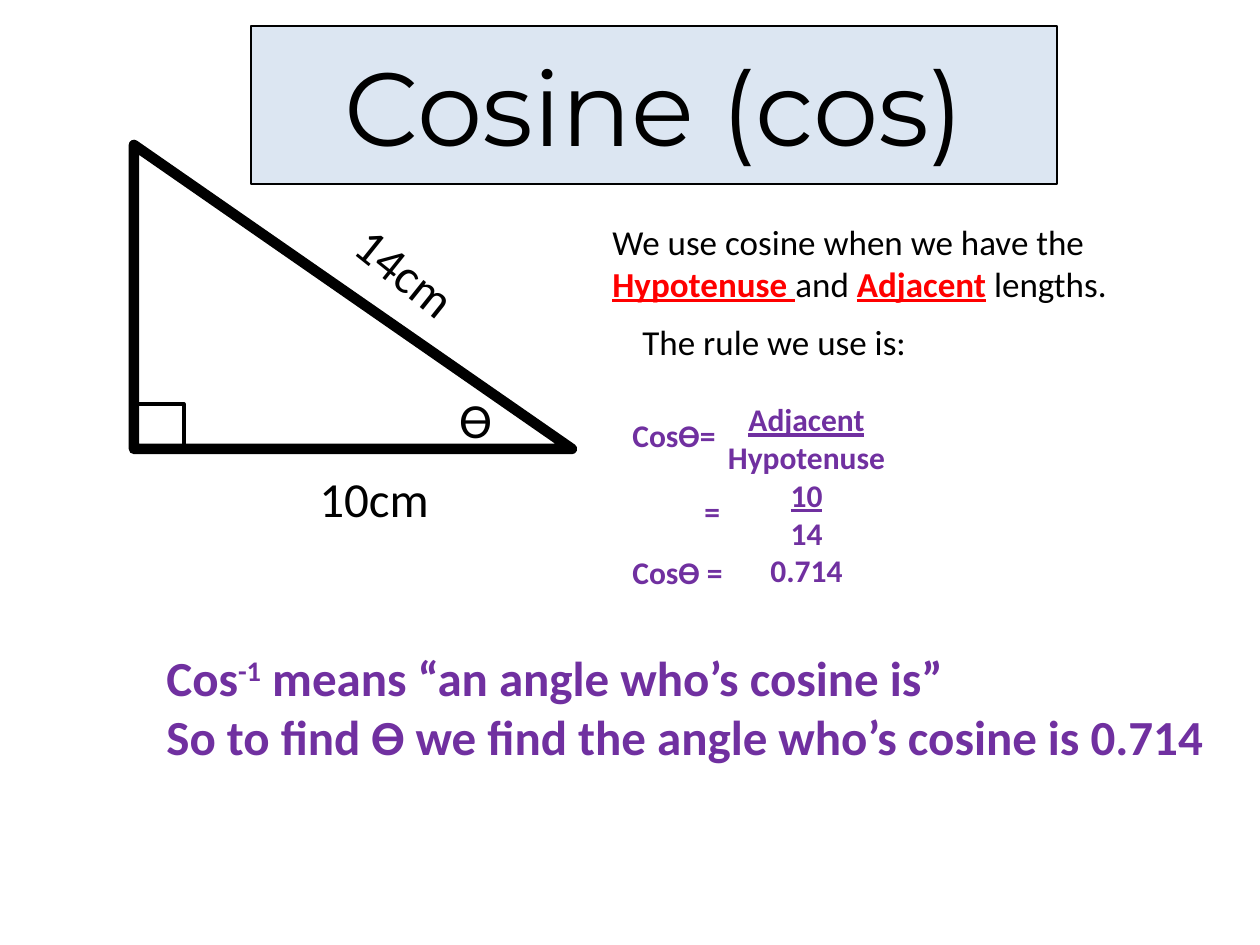
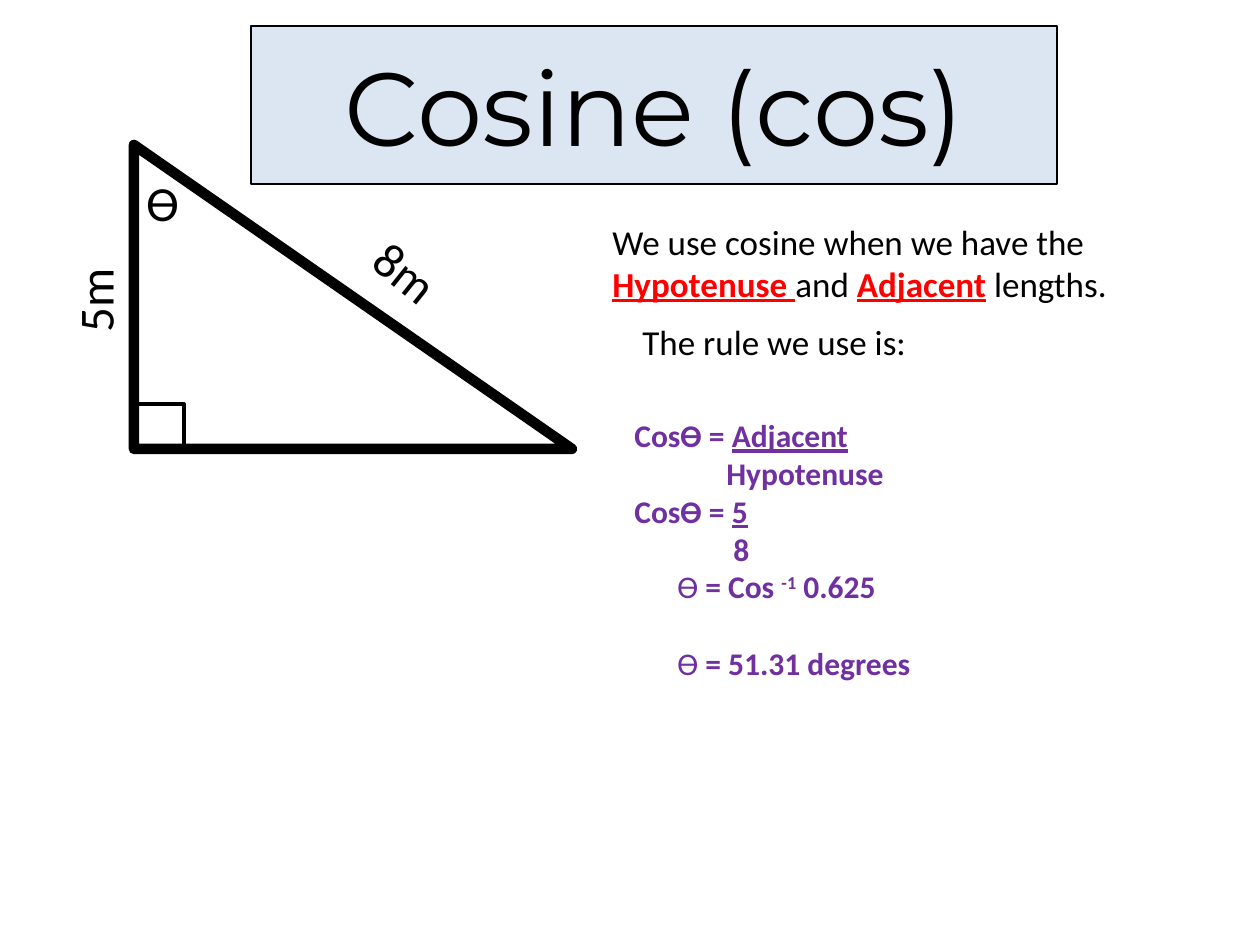
from pptx import Presentation
from pptx import util as u
from pptx.dml.color import RGBColor
from pptx.enum import shapes, text

# Content: a line is a list of runs, a run is (words, marks).
# Marks: b bold, u underlined, r red, ^ raised.
TITLE = "Cosine (cos)"
INTRO = [("We use cosine when we have the ", ""), ("Hypotenuse ", "bur"),
         ("and ", ""), ("Adjacent", "bur"), (" lengths.", "")]
RULE = "The rule we use is:"

LEFT = [{"runs": "Cosϴ="},
        {"runs": "=", "indent": 72, "gap": 22},
        {"runs": "Cosϴ =", "gap": 13}]
RIGHT = [{"runs": [("Adjacent", "bu")]}, {"runs": "Hypotenuse"},
         {"runs": [("10", "bu")]}, {"runs": "14"}, {"runs": "0.714"}]
MEANS = [{"runs": [("Cos", "b"), ("-1", "b^"),
                   (" means “an angle who’s cosine is”", "b")]},
         {"runs": "So to find ϴ we find the angle who’s cosine is 0.714"}]
STEPS = [{"runs": [("Cosϴ = ", "b"), ("Adjacent", "bu")]},
         {"runs": "Hypotenuse", "indent": 92},
         {"runs": [("Cosϴ = ", "b"), ("5", "bu")]},
         {"runs": "8", "indent": 99},
         {"runs": [("ϴ ", ""), ("= Cos ", "b"), ("-1", "b^"), (" 0.625", "b")],
          "indent": 43},
         {"runs": [("ϴ ", ""), ("= 51.31 degrees", "b")],
          "indent": 43, "gap": 22}]

INK, RED, PURPLE, PALE = "000000", "FF0000", "7030A0", "DCE6F2"
BODY, HEAD = "Calibri", "Montserrat"
LABEL, PROSE, WORK = 28, 20, 18
TILT = 38.7

SLIDES = [
    {"hyp": "14cm", "theta": (447, 383), "boxes": [
        ((307, 462, 136, 72), [{"runs": "10cm"}], {"wrap": False}),
        ((620, 410, 198, 189), LEFT,
         {"size": WORK, "hue": PURPLE, "bold": True}),
        ((704, 394, 205, 280), RIGHT,
         {"size": WORK, "hue": PURPLE, "bold": True, "mid": True}),
        ((154, 641, 1075, 131), MEANS,
         {"hue": PURPLE, "bold": True, "wrap": False})]},
    {"hyp": "8m", "theta": (134, 166), "boxes": [
        ((49, 263, 91, 72), [{"runs": "5m"}], {"wrap": False, "turn": 270}),
        ((622, 410, 338, 280), STEPS,
         {"size": WORK, "hue": PURPLE, "bold": True})]},
]


def px(*vals):
    """Pixels, 126 to the inch, as a list of EMU."""
    return [u.Emu(round(v * 914400 / 126)) for v in vals]


def rgb(code):
    return RGBColor.from_string(code)


def set_font(font, name, size, hue, bold=False):
    font.name, font.size, font.bold = name, u.Pt(size), bold
    font.color.rgb = rgb(hue)


def fill_line(para, line, bold):
    runs = line["runs"]
    if isinstance(runs, str):
        runs = [(runs, "b" if bold else "")]
    for words, marks in runs:
        run = para.add_run()
        run.text = words
        if ("b" in marks) != bold:
            run.font.bold = not bold
        if "u" in marks:
            run.font.underline = True
        if "r" in marks:
            run.font.color.rgb = rgb(RED)
        if "^" in marks:
            run._r.get_or_add_rPr().set("baseline", "30000")


def add_text(slide, at, lines, size=LABEL, hue=INK, bold=False,
             mid=False, wrap=True, turn=0):
    box = slide.shapes.add_textbox(*px(*at))
    box.rotation = turn
    frame = box.text_frame
    frame.word_wrap = wrap
    frame.auto_size = text.MSO_AUTO_SIZE.SHAPE_TO_FIT_TEXT
    for i, line in enumerate(lines):
        para = frame.add_paragraph() if i else frame.paragraphs[0]
        if "indent" in line:
            para._p.get_or_add_pPr().set("marL", str(px(line["indent"])[0]))
        if "gap" in line:
            para.space_before = u.Pt(line["gap"])
        if mid:
            para.alignment = text.PP_ALIGN.CENTER
        set_font(para.font, BODY, size, hue, bold)
        fill_line(para, line, bold)


def add_title(slide):
    title = slide.shapes.title
    title.left, title.top, title.width, title.height = px(251, 26, 806, 158)
    title.fill.solid()
    title.fill.fore_color.rgb = rgb(PALE)
    title.line.color.rgb = rgb(INK)
    title.line.width = u.Pt(0.75)
    frame = title.text_frame
    frame.text = TITLE
    frame.auto_size = text.MSO_AUTO_SIZE.NONE
    frame.vertical_anchor = text.MSO_ANCHOR.MIDDLE
    para = frame.paragraphs[0]
    para.alignment = text.PP_ALIGN.CENTER
    set_font(para.font, HEAD, 59.4, INK)


def add_triangle(slide):
    """The right-angled triangle, grouped with its corner mark."""
    group = slide.shapes.add_group_shape()
    kind = shapes.MSO_SHAPE
    for form, at, width in ((kind.RIGHT_TRIANGLE, (134, 145, 438, 304), 6),
                            (kind.RECTANGLE, (134, 404, 50, 45), 2)):
        part = group.shapes.add_shape(form, *px(*at))
        part.shadow.inherit = False
        part.fill.background()
        part.line.color.rgb = rgb(INK)
        part.line.width = u.Pt(width)


def main():
    deck = Presentation()
    deck.slide_width, deck.slide_height = px(1260, 945)
    for item in SLIDES:
        slide = deck.slides.add_slide(deck.slide_layouts[5])
        add_title(slide)
        add_triangle(slide)
        add_text(slide, (237, 236, 338, 72), [{"runs": item["hyp"]}],
                 mid=True, turn=TILT)
        add_text(slide, (600, 214, 605, 97), [{"runs": INTRO}], size=PROSE)
        add_text(slide, (630, 314, 576, 55), [{"runs": RULE}], size=PROSE)
        for at, lines, style in item["boxes"]:
            add_text(slide, at, lines, **style)
        add_text(slide, (*item["theta"], 89, 72), [{"runs": "ϴ"}])
    deck.save("out.pptx")


if __name__ == "__main__":
    main()
